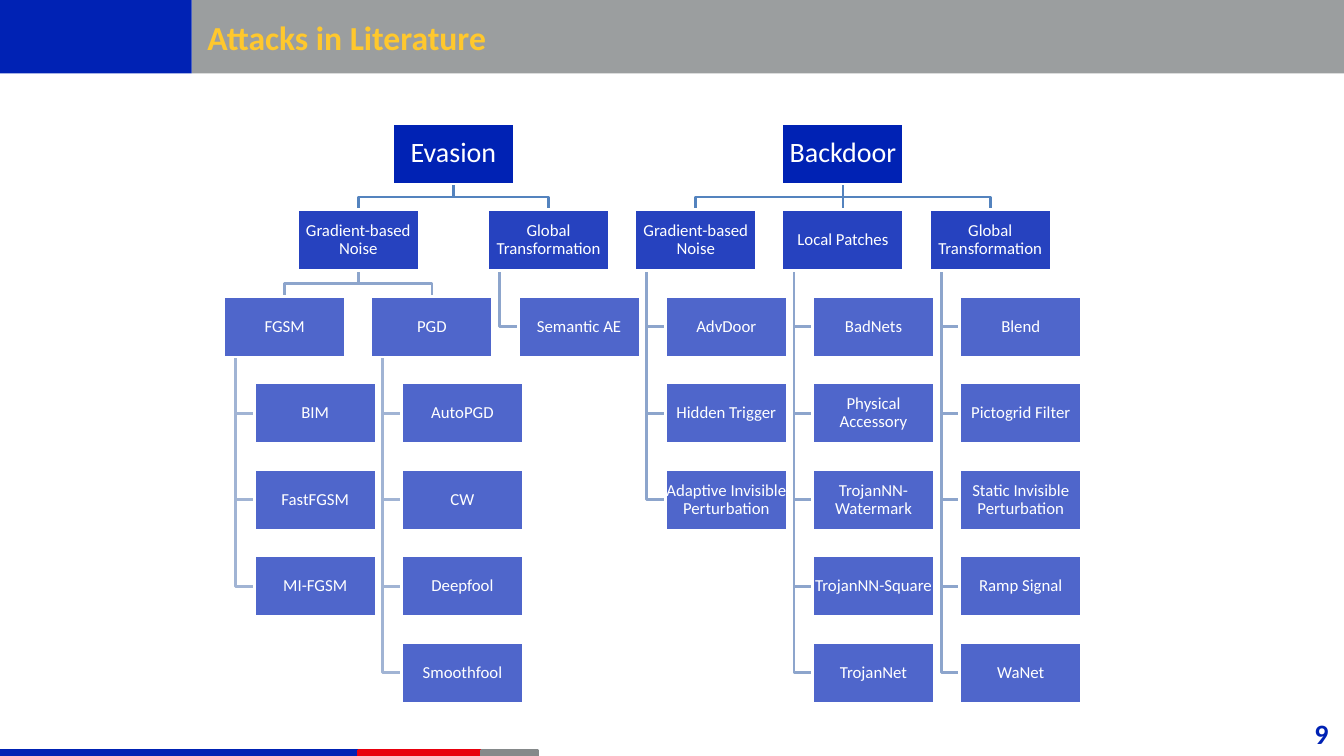
from lxml import etree
from pptx import Presentation
from pptx.dml.color import RGBColor
from pptx.enum.shapes import MSO_CONNECTOR, MSO_SHAPE
from pptx.enum.text import MSO_ANCHOR, PP_ALIGN
from pptx.oxml.ns import qn
from pptx.util import Cm, Pt

RECTANGLE = MSO_SHAPE.RECTANGLE
STRAIGHT = MSO_CONNECTOR.STRAIGHT
MIDDLE = MSO_ANCHOR.MIDDLE
LEFT, CENTER, RIGHT = PP_ALIGN.LEFT, PP_ALIGN.CENTER, PP_ALIGN.RIGHT

FONT = "Calibri"
COLORS = {
    name: RGBColor.from_string(value)
    for name, value in {
        "blue": "0022B4", "red": "E8000D", "gray": "85898A",
        "yellow": "FFC82D", "white": "FFFFFF",
        "line0": "5483BE", "line1": "8DA5CC", "line2": "A1B4D4",
    }.items()
}

BOX_WIDTH, BOX_HEIGHT = 3.07, 1.53
FIRST_TOP, ROW_STEP = 3.11, 2.18
COLUMN_STEP = 3.71
INDENT, STEM_INSET = 0.77, 0.3
LEVEL_OPACITY = [100, 85, 69]

# Heading, row, left edge, attacks hanging below it
first_left, second_left = 5.64, 12.29
columns = [
    ("FGSM", 2, first_left, ["BIM", "FastFGSM", "MI-FGSM"]),
    ("PGD", 2, first_left + COLUMN_STEP, ["AutoPGD", "CW", "Deepfool", "Smoothfool"]),
    ("Global Transformation", 1, second_left, ["Semantic AE"]),
    ("Gradient-based Noise", 1, second_left + COLUMN_STEP,
     ["AdvDoor", "Hidden Trigger", "Adaptive Invisible Perturbation"]),
    ("Local Patches", 1, second_left + 2 * COLUMN_STEP,
     ["BadNets", "Physical Accessory", "TrojanNN-Watermark", "TrojanNN-Square", "TrojanNet"]),
    ("Global Transformation", 1, second_left + 3 * COLUMN_STEP,
     ["Blend", "Pictogrid Filter", "Static Invisible Perturbation", "Ramp Signal", "WaNet"]),
]
column_lefts = [left for _, _, left, _ in columns]
gradient_left = sum(column_lefts[:2]) / 2
# Heading, row, left edges of the boxes it branches into
branches = [
    ("Gradient-based Noise", 1, column_lefts[:2]),
    ("Evasion", 0, [gradient_left, column_lefts[2]]),
    ("Backdoor", 0, column_lefts[3:]),
]

presentation = Presentation()
presentation.slide_width, presentation.slide_height = Cm(33.87), Cm(19.05)
slide = presentation.slides.add_slide(presentation.slide_layouts[6])
shapes = slide.shapes


def add_box(left, top, width, height, color, line_color=None, opacity=100):
    shape = shapes.add_shape(RECTANGLE, Cm(left), Cm(top), Cm(width), Cm(height))
    shape.shadow.inherit = False
    shape.fill.solid()
    shape.fill.fore_color.rgb = COLORS[color]
    if opacity < 100:
        color_element = shape.fill._xPr.find(qn("a:solidFill"))[0]
        etree.SubElement(color_element, qn("a:alpha"), val=str(opacity * 1000))
    if line_color:
        shape.line.color.rgb = COLORS[line_color]
        shape.line.width = Pt(2)
    else:
        shape.line.fill.background()
    return shape


def set_text(shape, text, size, color, alignment, bold=False):
    frame = shape.text_frame
    frame.word_wrap = True
    frame.vertical_anchor = MIDDLE
    paragraph = frame.paragraphs[0]
    paragraph.text = text
    paragraph.alignment = alignment
    font = paragraph.font
    font.name, font.size, font.bold = FONT, Pt(size), bold
    font.color.rgb = COLORS[color]
    return frame


# Footer stripes and header band
for left, width, color in [(0, 9.04, "blue"), (9.04, 3.38, "red"), (12.14, 1.42, "gray")]:
    add_box(left, 18.92, width, 0.13, color, line_color=color)
add_box(4.83, 0, 29.04, 1.85, "gray", opacity=82)
add_box(0, 0, 4.83, 1.85, "blue")
title = shapes.add_textbox(Cm(4.98), Cm(0.15), Cm(22.2), Cm(1.55))
set_text(title, "Attacks in Literature", 24, "yellow", LEFT, bold=True)

# Collect boxes and the lines between them
row_tops = [FIRST_TOP + row * ROW_STEP for row in range(7)]
boxes = []
lines = []
for heading, row, left, attacks in columns:
    boxes.append((heading, row, left))
    stem = left + STEM_INSET
    for attack_row, attack in enumerate(attacks, start=row + 1):
        boxes.append((attack, attack_row, left + INDENT))
        middle = row_tops[attack_row] + BOX_HEIGHT / 2
        lines.append((row, [(stem, row_tops[row] + BOX_HEIGHT), (stem, middle),
                            (left + INDENT, middle)]))
for heading, row, child_lefts in branches:
    left = (child_lefts[0] + child_lefts[-1]) / 2
    boxes.append((heading, row, left))
    center = left + BOX_WIDTH / 2
    bottom, child_top = row_tops[row] + BOX_HEIGHT, row_tops[row + 1]
    middle = (bottom + child_top) / 2
    for child_left in child_lefts:
        child_center = child_left + BOX_WIDTH / 2
        if abs(child_center - center) < 0.01:
            points = [(center, bottom), (center, child_top)]
        else:
            points = [(center, bottom), (center, middle),
                      (child_center, middle), (child_center, child_top)]
        lines.append((row, points))

for row, points in lines:
    points = [(Cm(x), Cm(y)) for x, y in points]
    if len(points) == 2:
        line = shapes.add_connector(STRAIGHT, *points[0], *points[1])
        etree.SubElement(line._element.spPr, qn("a:effectLst"))
    else:
        builder = shapes.build_freeform(*points[0])
        builder.add_line_segments(points[1:], close=False)
        line = builder.convert_to_shape()
        line.shadow.inherit = False
        line.fill.background()
    line.line.color.rgb = COLORS[f"line{row}"]
    line.line.width = Pt(2)

for text, row, left in boxes:
    opacity = LEVEL_OPACITY[min(row, 2)]
    box = add_box(left, row_tops[row], BOX_WIDTH, BOX_HEIGHT, "blue", "white", opacity)
    frame = set_text(box, text, 20 if row == 0 else 12, "white", CENTER)
    frame.margin_left = frame.margin_right = Cm(0.02)
    frame.margin_top = frame.margin_bottom = Cm(0.02)
    frame.paragraphs[0].line_spacing = 0.9

page_number = shapes.add_textbox(Cm(30.02), Cm(17.96), Cm(3.71), Cm(1.02))
set_text(page_number, "9", 20, "blue", RIGHT, bold=True)

presentation.save("out.pptx")
